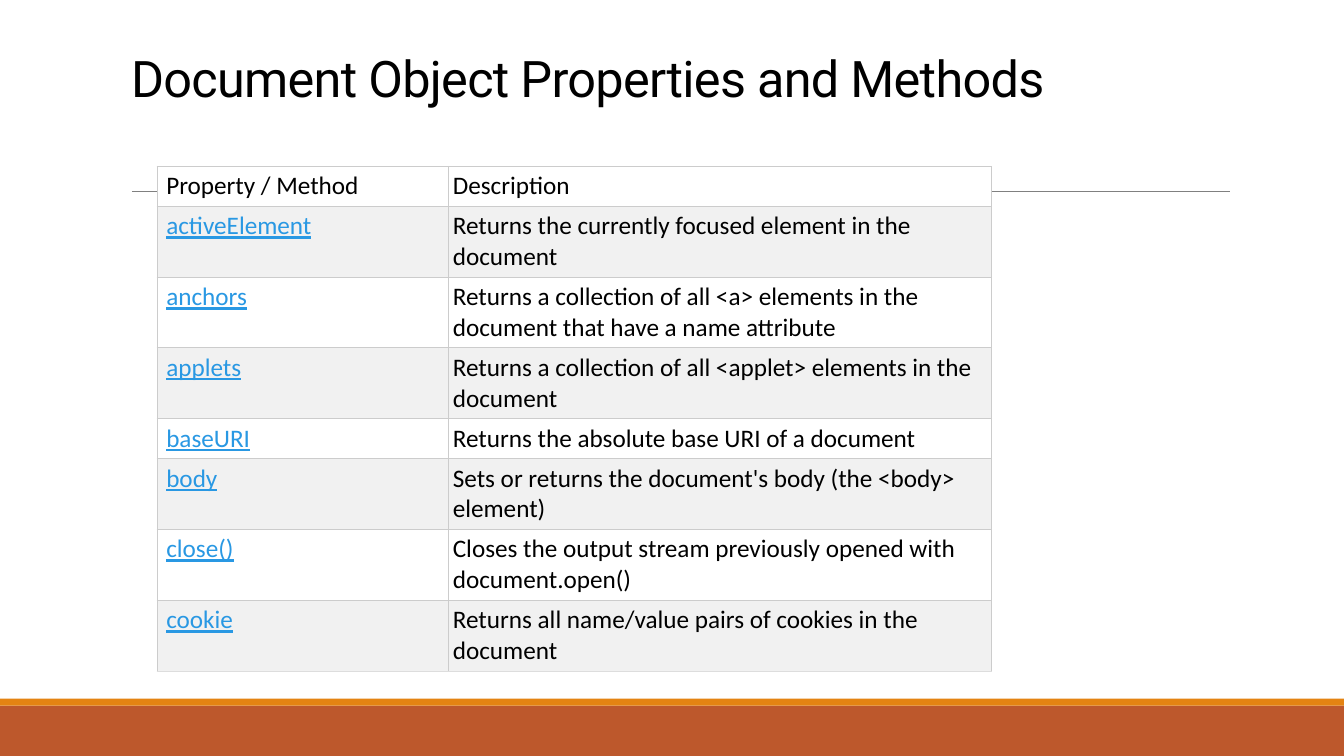
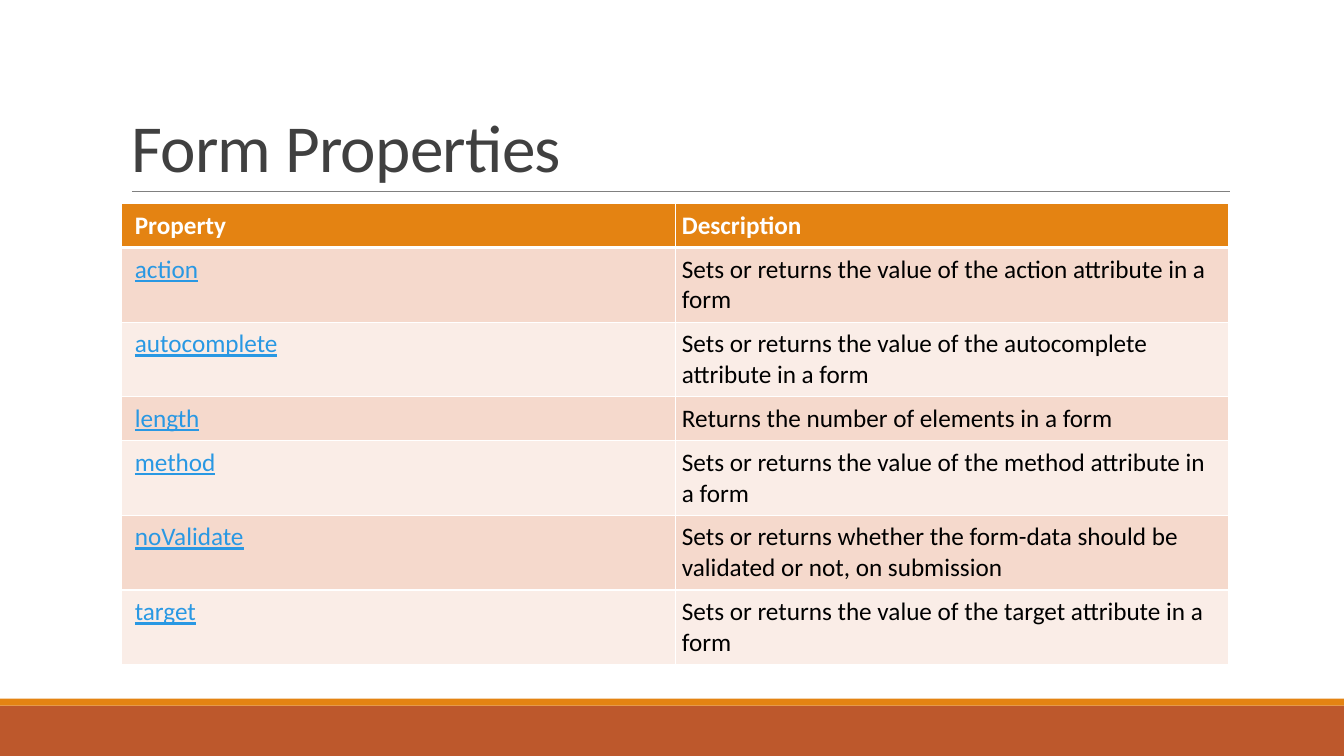
from dataclasses import dataclass

from lxml.etree import SubElement
from pptx import Presentation
from pptx.dml.color import RGBColor
from pptx.enum.shapes import MSO_CONNECTOR as Connector, MSO_SHAPE as Shape
from pptx.enum.text import MSO_ANCHOR as Anchor, MSO_AUTO_SIZE as AutoSize, PP_ALIGN as Align
from pptx.oxml.ns import qn
from pptx.util import Pt

BLACK = RGBColor(0x00, 0x00, 0x00)
WHITE = RGBColor(0xFF, 0xFF, 0xFF)
CHARCOAL = RGBColor(0x40, 0x40, 0x40)
RUST = RGBColor(0xBD, 0x58, 0x2C)
ORANGE = RGBColor(0xE4, 0x83, 0x12)
LINK_BLUE = RGBColor(0x29, 0x98, 0xE3)
RULE_GREY = RGBColor(0x80, 0x80, 0x80)
BORDER_GREY = RGBColor(0xCC, 0xCC, 0xCC)
LAST_GREY = RGBColor(0xDD, 0xDD, 0xDD)
ROW_GREY = RGBColor(0xF1, 0xF1, 0xF1)
PEACH = RGBColor(0xF5, 0xD9, 0xCC)
PALE_PEACH = RGBColor(0xFA, 0xED, 0xE7)

FONT = "Calibri"
SLIDE_W, SLIDE_H = 960, 540
BAND_H, STRIPE_H = 36, 5
TITLE_BOX = (86.4, 22.3, 792, 114.5)
RULE_LEFT, RULE_RIGHT, RULE_Y = 94.3, 878.9, 136.8


@dataclass
class TableLook:
    """Colours, borders and padding of one reference table."""

    header_fill: RGBColor
    header_color: RGBColor
    header_bold: bool
    row_fills: tuple
    border: tuple
    header_border: tuple
    last_border: tuple
    padding: float
    row_height: float


GREY_LOOK = TableLook(
    WHITE, BLACK, False, (ROW_GREY, WHITE),
    (BORDER_GREY, 0.6), (BORDER_GREY, 0.6), (LAST_GREY, 0.6), 3.3, 24.5)
ORANGE_LOOK = TableLook(
    ORANGE, WHITE, True, (PEACH, PALE_PEACH),
    (WHITE, 1), (WHITE, 3), (WHITE, 1), 4.7, 29.5)

DOCUMENT_ROWS = [
    ("Property / Method", "Description"),
    ("activeElement", "Returns the currently focused element in the document"),
    ("anchors", "Returns a collection of all <a> elements in the document that have a name attribute"),
    ("applets", "Returns a collection of all <applet> elements in the document"),
    ("baseURI", "Returns the absolute base URI of a document"),
    ("body", "Sets or returns the document's body (the <body> element)"),
    ("close()", "Closes the output stream previously opened with document.open()"),
    ("cookie", "Returns all name/value pairs of cookies in the document"),
]
FORM_ROWS = [
    ("Property", "Description"),
    ("action", "Sets or returns the value of the action attribute in a form"),
    ("autocomplete", "Sets or returns the value of the autocomplete attribute in a form"),
    ("length", "Returns the number of elements in a form"),
    ("method", "Sets or returns the value of the method attribute in a form"),
    ("noValidate", "Sets or returns whether the form-data should be validated or not, on submission"),
    ("target", "Sets or returns the value of the target attribute in a form"),
]


def add_band(slide, top, height, color):
    """Add a full-width colour band."""
    band = slide.shapes.add_shape(Shape.RECTANGLE, 0, Pt(top), Pt(SLIDE_W), Pt(height))
    band.shadow.inherit = False
    band.fill.solid()
    band.fill.fore_color.rgb = color
    band.line.fill.background()
    return band


def add_title_rule(slide):
    """Add the thin line below the title."""
    rule = slide.shapes.add_connector(
        Connector.STRAIGHT, Pt(RULE_LEFT), Pt(RULE_Y), Pt(RULE_RIGHT), Pt(RULE_Y))
    rule.line.color.rgb = RULE_GREY
    rule.line.width = Pt(0.5)
    SubElement(rule.element.spPr, qn("a:effectLst"))
    return rule


def dress_layout(layout, slide):
    """Draw the shared decoration on a slide and move it to its layout."""
    band_top = SLIDE_H - BAND_H
    decoration = (
        add_band(slide, band_top, BAND_H, RUST),
        add_band(slide, band_top - STRIPE_H, STRIPE_H, ORANGE),
        add_title_rule(slide),
    )
    for number, part in enumerate(decoration, 101):
        part.element.xpath(".//p:cNvPr")[0].set("id", str(number))
        layout.shapes.element.append(part.element)


def add_title(slide, text, font, size, color, bottom_inset=3.6, line_spacing=1.0):
    """Fill and place the title placeholder."""
    title = slide.shapes.title
    title.left, title.top, title.width, title.height = map(Pt, TITLE_BOX)
    frame = title.text_frame
    frame.word_wrap = True
    frame.auto_size = AutoSize.NONE
    frame.vertical_anchor = Anchor.BOTTOM
    frame.margin_bottom = Pt(bottom_inset)
    heading = frame.paragraphs[0]
    heading.alignment = Align.LEFT
    heading.line_spacing = line_spacing
    run = heading.add_run()
    run.text = text
    run.font.name = font
    run.font.size = Pt(size)
    run.font.color.rgb = color
    run.font._element.set("spc", "-50")


def set_borders(cell, left, right, top, bottom):
    """Give a cell its four borders, each a colour and a width."""
    properties = cell._tc.get_or_add_tcPr()
    for side, (color, width) in zip("LRTB", (left, right, top, bottom)):
        edge = SubElement(properties, qn(f"a:ln{side}"), w=str(int(Pt(width))))
        fill = SubElement(edge, qn("a:solidFill"))
        SubElement(fill, qn("a:srgbClr"), val=str(color))


def fill_cell(cell, text, look, fill, color, is_name, bold=False, underline=False):
    """Set the fill, padding and text of a cell."""
    cell.fill.solid()
    cell.fill.fore_color.rgb = fill
    cell.margin_left = Pt(look.padding * (2 if is_name else 1))
    cell.margin_right = cell.margin_top = cell.margin_bottom = Pt(look.padding)
    run = cell.text_frame.paragraphs[0].add_run()
    run.text = text
    run.font.name = FONT
    run.font.size = Pt(18)
    run.font.color.rgb = color
    run.font.bold = bold
    run.font.underline = underline


def add_reference_table(slide, left, top, widths, rows, look):
    """Add a table of names and descriptions at the given corner."""
    table = slide.shapes.add_table(
        len(rows), len(widths), Pt(left), Pt(top),
        Pt(sum(widths)), Pt(look.row_height * len(rows))).table
    table.first_row = table.horz_banding = False
    for column, width in zip(table.columns, widths):
        column.width = Pt(width)
    last = len(rows) - 1
    for r, texts in enumerate(rows):
        above = look.header_border if r == 1 else look.border
        below = {0: look.header_border, last: look.last_border}.get(r, look.border)
        for c, text in enumerate(texts):
            cell = table.cell(r, c)
            is_name = c == 0
            set_borders(cell, look.border, look.border, above, below)
            if r == 0:
                fill_cell(cell, text, look, look.header_fill, look.header_color,
                          is_name, bold=look.header_bold)
            else:
                fill_cell(cell, text, look, look.row_fills[(r - 1) % 2],
                          LINK_BLUE if is_name else BLACK, is_name, underline=is_name)


def build_document_slide(slide):
    """Build the slide on the document object."""
    add_title(slide, "Document Object Properties and Methods", "Roboto", 36, BLACK,
              bottom_inset=60)
    add_reference_table(slide, 112.2, 118.8, (208, 388), DOCUMENT_ROWS, GREY_LOOK)


def build_form_slide(slide):
    """Build the slide on form properties."""
    add_title(slide, "Form Properties", FONT, 48, CHARCOAL, line_spacing=0.85)
    add_reference_table(slide, 86.9, 145.5, (395.5, 395.5), FORM_ROWS, ORANGE_LOOK)


def main():
    """Build and save the presentation."""
    deck = Presentation()
    deck.slide_width, deck.slide_height = Pt(SLIDE_W), Pt(SLIDE_H)
    layout = deck.slide_layouts[5]
    document_slide = deck.slides.add_slide(layout)
    dress_layout(layout, document_slide)
    build_document_slide(document_slide)
    build_form_slide(deck.slides.add_slide(layout))
    deck.save("out.pptx")


if __name__ == "__main__":
    main()
